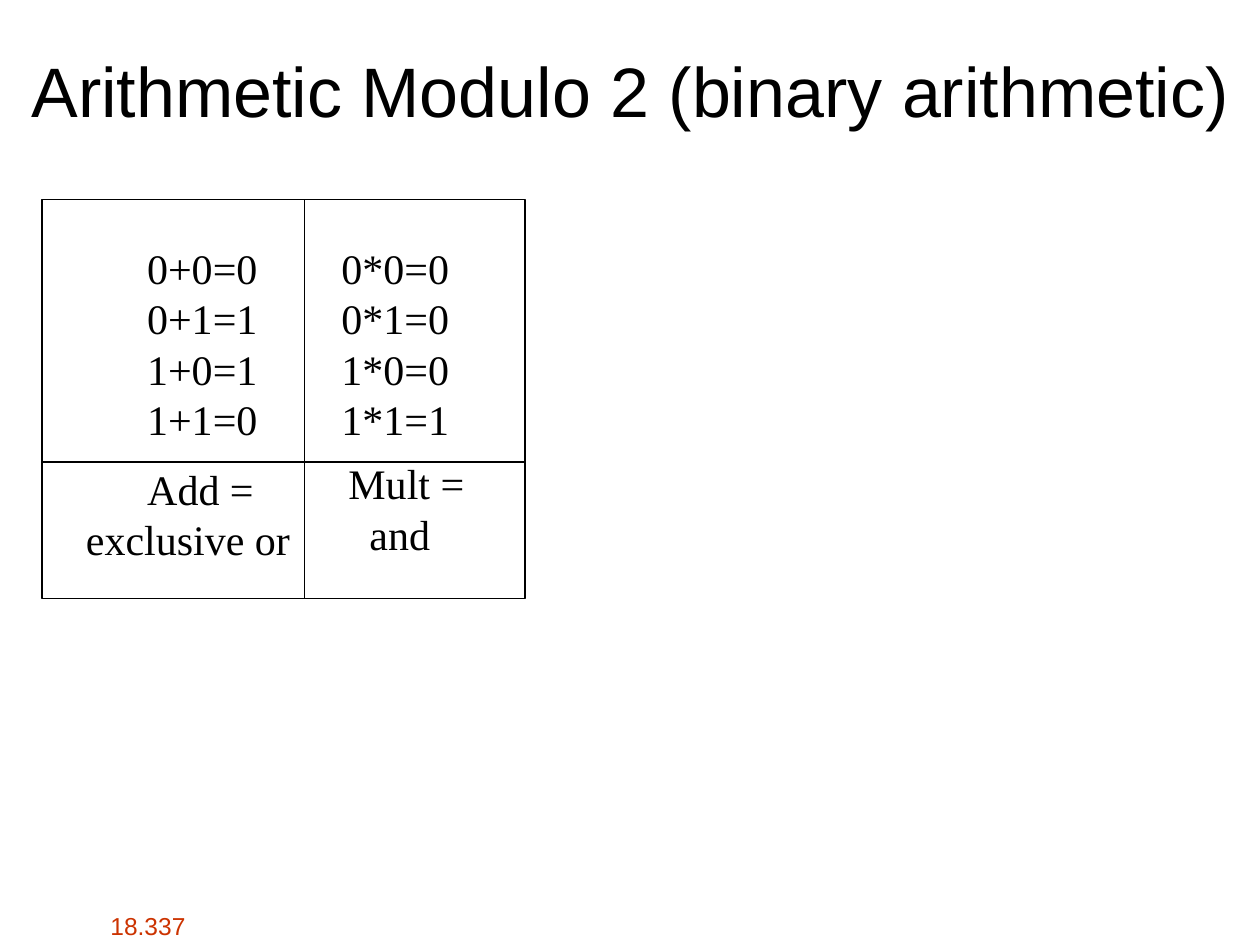
from lxml.etree import SubElement
from pptx import Presentation
from pptx.dml.color import RGBColor
from pptx.enum.shapes import MSO_CONNECTOR as Connector, MSO_SHAPE as Shape
from pptx.enum.text import MSO_ANCHOR as Anchor, MSO_AUTO_SIZE as AutoSize, PP_ALIGN as Align
from pptx.oxml.ns import qn
from pptx.util import Pt

BLACK = RGBColor(0x00, 0x00, 0x00)
RED = RGBColor(0xCC, 0x33, 0x00)

TITLE_FONT = {"name": "Arial", "size": Pt(40), "bold": False}
TABLE_FONT = {"name": "Times New Roman", "size": Pt(24)}
FOOTER_FONT = {"name": "Arial", "size": Pt(14)}

BITS = [(0, 0), (0, 1), (1, 0), (1, 1)]
EQUATIONS = [(f"{a}+{b}={a ^ b}\t{a}*{b}={a & b}", 0) for a, b in BITS]
ADD_LABEL = [("Add =", 35), ("exclusive or", 0)]
MULT_LABEL = [("Mult =", 24), ("and", 36)]


def format_paragraph(paragraph, font_values, color):
    """Apply the font values and colour to a paragraph."""
    for name, value in font_values.items():
        setattr(paragraph.font, name, value)
    paragraph.font.color.rgb = color


def add_text(slide, box, lines, font_values, color=BLACK, tab=None):
    """Add a text box of (text, indent) lines, with an optional tab stop."""
    frame = slide.shapes.add_textbox(*map(Pt, box)).text_frame
    frame.word_wrap = True
    frame.auto_size = AutoSize.SHAPE_TO_FIT_TEXT
    for index, (text, indent) in enumerate(lines):
        paragraph = frame.add_paragraph() if index else frame.paragraphs[0]
        paragraph.add_run().text = text
        properties = paragraph._p.get_or_add_pPr()
        if indent:
            properties.set("marL", str(Pt(indent)))
        if tab:
            tabs = SubElement(properties, qn("a:tabLst"))
            SubElement(tabs, qn("a:tab"), pos=str(Pt(tab)), algn="l")
        format_paragraph(paragraph, font_values, color)


def add_rule(slide, *ends):
    """Draw a thin black line between two points."""
    line = slide.shapes.add_connector(Connector.STRAIGHT, *map(Pt, ends))
    line.line.color.rgb = BLACK
    line.line.width = Pt(0.75)
    SubElement(line._element.spPr, qn("a:effectLst"))


def add_title(slide, box, text):
    """Place and format the title placeholder."""
    title = slide.shapes.title
    title.left, title.top, title.width, title.height = map(Pt, box)
    frame = title.text_frame
    frame.text = text
    frame.word_wrap = True
    frame.auto_size = AutoSize.NONE
    frame.vertical_anchor = Anchor.MIDDLE
    frame.paragraphs[0].alignment = Align.CENTER
    format_paragraph(frame.paragraphs[0], TITLE_FONT, BLACK)


def add_operations(slide, box):
    """Draw the framed addition and multiplication rules."""
    left, top, width, height = box
    middle, split = left + 150, top + 150
    add_text(slide, (left + 53, top + 21, 200, 122), EQUATIONS, TABLE_FONT, tab=111)
    add_text(slide, (left + 18, split - 2.75, 132, 65), ADD_LABEL, TABLE_FONT)
    add_text(slide, (middle - 6, split - 6, 132, 65), MULT_LABEL, TABLE_FONT)
    frame = slide.shapes.add_shape(Shape.RECTANGLE, *map(Pt, box))
    frame.shadow.inherit = False
    frame.fill.background()
    frame.line.color.rgb = BLACK
    frame.line.width = Pt(0.75)
    add_rule(slide, middle, top, middle, top + height)
    add_rule(slide, left, split, left + width, split)


def main():
    """Build and save the slide."""
    presentation = Presentation()
    presentation.slide_width, presentation.slide_height = Pt(720), Pt(540)
    slide = presentation.slides.add_slide(presentation.slide_layouts[5])
    add_text(slide, (56, 517, 60, 24), [("18.337", 0)], FOOTER_FONT, RED)
    add_title(slide, (0, 6, 720, 90), "Arithmetic Modulo 2 (binary arithmetic)")
    add_operations(slide, (24, 114, 276, 228))
    presentation.save("out.pptx")


if __name__ == "__main__":
    main()
